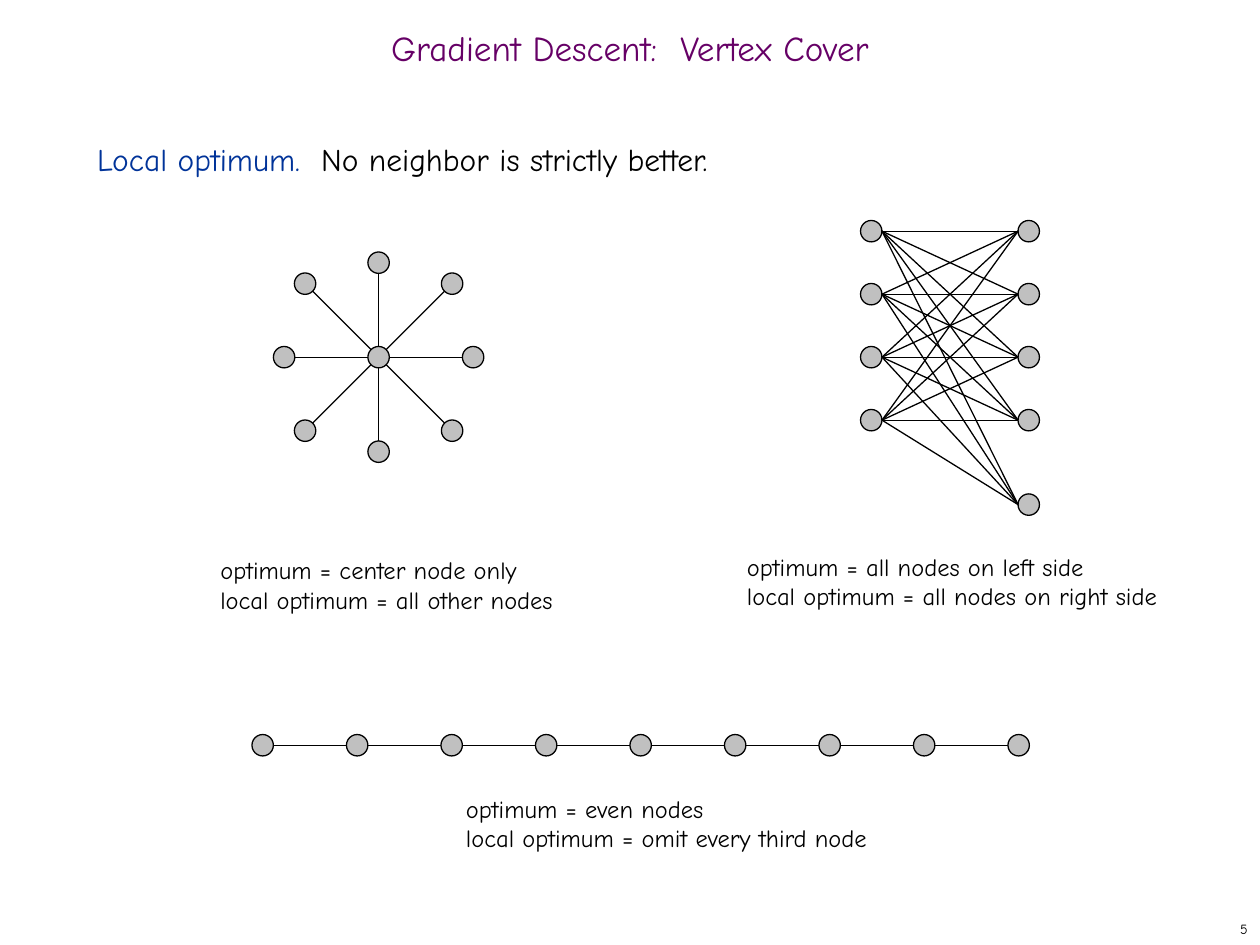
import math

from lxml import etree
from pptx import Presentation
from pptx.dml.color import RGBColor
from pptx.enum import shapes, text
from pptx.oxml.ns import qn
from pptx.util import Inches, Pt

FONT = "Comic Neue"
BLACK, GREY, PURPLE, BLUE = "000000", "C0C0C0", "660066", "003399"
NODE = 0.17  # node diameter, inches
R = NODE / 2


def rgb(value):
    return RGBColor.from_string(value)


def style(r, size, color):
    r.font.name = FONT
    r.font.size = Pt(size)
    r.font.color.rgb = rgb(color)


def place(sp, box):
    sp.left, sp.top, sp.width, sp.height = (Inches(v) for v in box)


def add_node(s, cx, cy):
    sp = s.shapes.add_shape(shapes.MSO_SHAPE.OVAL, Inches(cx - R), Inches(cy - R),
                            Inches(NODE), Inches(NODE))
    sp.shadow.inherit = False
    sp.fill.solid()
    sp.fill.fore_color.rgb = rgb(GREY)
    sp.line.color.rgb = rgb(BLACK)
    sp.line.width = Pt(0.75)


def add_edge(s, x1, y1, x2, y2):
    line = s.shapes.add_connector(shapes.MSO_CONNECTOR.STRAIGHT, Inches(x1), Inches(y1),
                                  Inches(x2), Inches(y2))
    line.line.color.rgb = rgb(BLACK)
    line.line.width = Pt(0.75)
    etree.SubElement(line._element.spPr, qn("a:effectLst"))


def add_title(s, box):
    sp = s.shapes.title
    place(sp, box)
    tf = sp.text_frame
    tf.text = "Gradient Descent:  Vertex Cover"
    tf.auto_size = text.MSO_AUTO_SIZE.NONE
    tf.vertical_anchor = text.MSO_ANCHOR.MIDDLE
    p = tf.paragraphs[0]
    p.alignment = text.PP_ALIGN.CENTER
    p.line_spacing = 0.7
    style(p.runs[0], 20, PURPLE)


def add_body(s, box):
    sp = s.placeholders[1]
    place(sp, box)
    tf = sp.text_frame
    tf.auto_size = text.MSO_AUTO_SIZE.NONE
    p = tf.paragraphs[0]
    p.line_spacing = Pt(26)
    p.space_before = Pt(0)
    pPr = p._p.get_or_add_pPr()
    pPr.set("marL", "0")
    pPr.set("indent", "0")
    etree.SubElement(pPr, qn("a:buNone"))
    for words, color in (("Local optimum.  ", BLUE),
                         ("No neighbor is strictly better.", BLACK)):
        r = p.add_run()
        r.text = words
        style(r, 18, color)


def add_caption(s, box, words):
    tf = s.shapes.add_textbox(*(Inches(v) for v in box)).text_frame
    tf.text = words
    tf.word_wrap = False
    tf.auto_size = text.MSO_AUTO_SIZE.SHAPE_TO_FIT_TEXT
    for p in tf.paragraphs:
        for r in p.runs:
            style(r, 14, BLACK)


def add_star(s, box):
    """Centre node with eight spokes; the diagonal spokes are 10% longer."""
    left, top, width, height = box
    cx, cy = left + width / 2, top + height / 2
    reach = width / 2 - R
    add_node(s, cx, cy)
    for i in range(8):
        dx, dy = math.cos(i * math.pi / 4), math.sin(i * math.pi / 4)
        spoke = reach * (1.1 if i % 2 else 1)
        add_node(s, cx + spoke * dx, cy + spoke * dy)
        add_edge(s, cx + R * dx, cy + R * dy,
                 cx + (spoke - R) * dx, cy + (spoke - R) * dy)


def add_bipartite(s, box, rows=4, step=0.5):
    """Complete bipartite graph with one extra node at the bottom right."""
    left, top, width, height = box
    left_ys = [top + R + step * i for i in range(rows)]
    right_ys = left_ys + [top + height - R]
    for y in left_ys:
        add_node(s, left + R, y)
    for y in right_ys:
        add_node(s, left + width - R, y)
    for y1 in left_ys:
        for y2 in right_ys:
            add_edge(s, left + NODE, y1, left + width - NODE, y2)


def add_chain(s, box, count=9):
    left, top, width, height = box
    step = (width - NODE) / (count - 1)
    cy = top + height / 2
    for i in range(count):
        cx = left + R + step * i
        add_node(s, cx, cy)
        if i < count - 1:
            add_edge(s, cx + R, cy, cx + step - R, cy)


def add_slide_number(s, box):
    tf = s.shapes.add_textbox(*(Inches(v) for v in box)).text_frame
    tf.text = "5"
    tf.word_wrap = True
    tf.vertical_anchor = text.MSO_ANCHOR.MIDDLE
    p = tf.paragraphs[0]
    p.alignment = text.PP_ALIGN.RIGHT
    style(p.runs[0], 8, BLACK)


def main():
    prs = Presentation()
    prs.slide_width, prs.slide_height = Inches(10), Inches(7.5)
    s = prs.slides.add_slide(prs.slide_layouts[1])

    # Heading and statement
    add_title(s, (0, 0.17, 10, 0.5))
    add_body(s, (0.67, 1, 8.58, 5.92))

    # Star graph
    add_star(s, (2.17, 2, 1.67, 1.67))
    add_caption(s, (1.65, 4.36, 2.85, 0.57),
                "optimum = center node only\vlocal optimum = all other nodes")

    # Bipartite graph
    add_bipartite(s, (6.83, 1.75, 1.42, 2.34))
    add_caption(s, (5.83, 4.33, 3.46, 0.57),
                "optimum = all nodes on left side\nlocal optimum = all nodes on right side")

    # Path graph
    add_chain(s, (2, 5.83, 6.17, NODE))
    add_caption(s, (3.6, 6.25, 3.4, 0.57),
                "optimum = even nodes\nlocal optimum = omit every third node")

    add_slide_number(s, (7.92, 7.25, 2.08, 0.25))
    prs.save("out.pptx")


if __name__ == "__main__":
    main()
